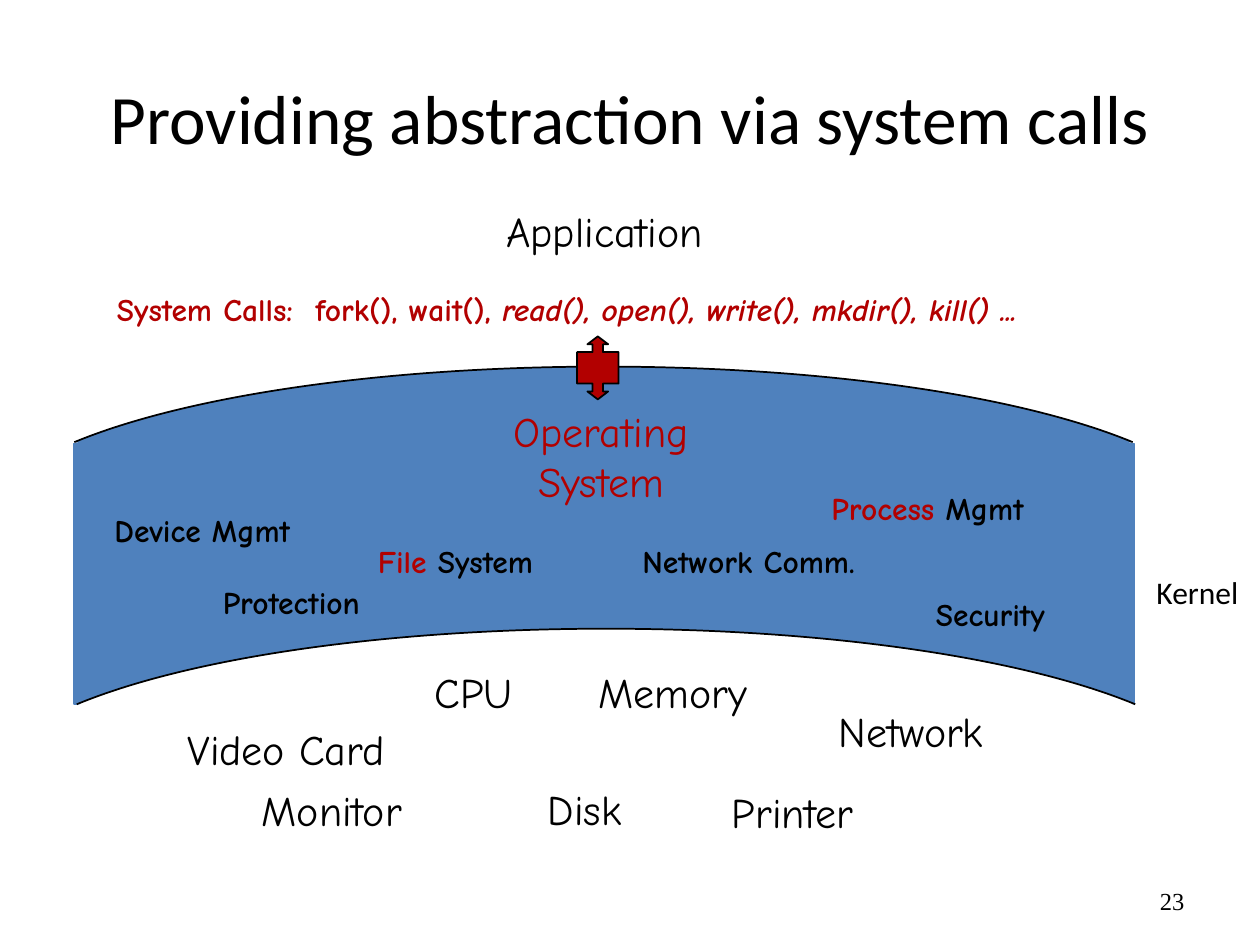
import copy

import lxml.etree
import pptx
import pptx.dml.color
import pptx.enum.shapes
import pptx.enum.text
import pptx.oxml.ns
import pptx.util

COLS, ROWS = 100, 75
CELL = pptx.util.Inches(0.1)
BLACK, WHITE, BLUE, RED = "000000", "FFFFFF", "4F81BD", "B20000"
ALIGN = pptx.enum.text.PP_ALIGN
ANCHOR = pptx.enum.text.MSO_ANCHOR
FIT = pptx.enum.text.MSO_AUTO_SIZE
SHAPE = pptx.enum.shapes.MSO_SHAPE

BIG = {"name": "Comic Neue", "size": 24, "color": BLACK}
BOLD = {"name": "Comic Neue", "size": 18, "color": BLACK, "bold": True}
TITLE = {"name": "Calibri", "size": 39.6, "color": BLACK}
KERNEL = {"name": "Calibri", "size": 18, "color": BLACK}
NUMBER = {"name": "Times New Roman", "size": 14, "color": BLACK}

OUTSIDE = [
    ("Video Card", 13.9, 56.9, 18.9),
    ("CPU", 33.5, 52.4, 8.2),
    ("Monitor", 19.8, 61.8, 14.3),
    ("Printer", 57.1, 61.9, 13),
    ("Disk", 42.5, 61.7, 8.8),
    ("Memory", 46.5, 52.4, 14.5),
    ("Network", 65.6, 55.5, 15.5),
    ("Application", 39.2, 15.8, 19.3),
]
SERVICES = [
    ([("Device Mgmt", {})], 8.1, 40.1, 17.1, 7),
    ([("File", {"color": RED}), (" System", {})], 29, 42.5, 17.1, 4),
    ([("Network Comm.", {})], 50, 42.5, 20.1, 7),
    ([("Process", {"color": RED}), (" Mgmt", {})], 65, 38.3, 18.1, 7),
    ([("Protection", {})], 16.7, 45.8, 16, 4),
    ([("Security", {})], 73.3, 46.7, 16, 4),
]


def rgb(value):
    return pptx.dml.color.RGBColor.from_string(value)


def cells(*counts):
    return [round(n * CELL) for n in counts]


def set_font(font, fmt):
    for key, value in fmt.items():
        if key == "color":
            font.color.rgb = rgb(value)
        else:
            setattr(font, key, pptx.util.Pt(value) if key == "size" else value)


def paint(sp, fill, line):
    sp.shadow.inherit = False
    sp.fill.solid()
    sp.fill.fore_color.rgb = rgb(fill)
    sp.line.color.rgb = rgb(line)
    sp.line.width = pptx.util.Pt(1)


def add_text(s, box, runs, fmt, align=ALIGN.LEFT, **frame):
    tf = s.shapes.add_textbox(*cells(*box)).text_frame
    settings = {"word_wrap": True, "auto_size": FIT.SHAPE_TO_FIT_TEXT, **frame}
    for key, value in settings.items():
        setattr(tf, key, value)
    p = tf.paragraphs[0]
    p.alignment = align
    for text, change in runs:
        r = p.add_run()
        r.text = text
        set_font(r.font, {**fmt, **change})


def add_shape(s, kind, box, fill, line):
    sp = s.shapes.add_shape(kind, *cells(*box))
    paint(sp, fill, line)
    return sp


def add_arc(s, cx, top, fill):
    half = [(-42, 6), (-32.8, 2.2), (-17, 0)]
    outline = half + [(0, 0)] + [(-x, y) for x, y in reversed(half)] + [(0, 13.3)]
    points = [cells(cx + x, top + y) for x, y in outline]
    builder = s.shapes.build_freeform(*points[0])
    builder.add_line_segments(points[1:], close=True)
    sp = builder.convert_to_shape()
    paint(sp, fill, BLACK)
    sector = sp._element.xpath(".//a:path")[0]
    lines = sector[1:7]
    for group in (lines[:3], lines[3:]):
        bezier = lxml.etree.Element(pptx.oxml.ns.qn("a:cubicBezTo"))
        group[0].addprevious(bezier)
        for line in group:
            bezier.append(line[0])
            sector.remove(line)
    curve = copy.deepcopy(sector)
    sector.set("stroke", "0")
    curve.set("fill", "none")
    for part in curve[-2:]:
        curve.remove(part)
    sector.addprevious(curve)


def main():
    prs = pptx.Presentation()
    prs.slide_width, prs.slide_height = cells(COLS, ROWS)
    s = prs.slides.add_slide(prs.slide_layouts[6])

    add_shape(s, SHAPE.RECTANGLE, (5.9, 35.2, 84.1, 20.7), BLUE, BLUE)
    add_text(s, (5, 3, 90, 12.5), [("Providing abstraction via system calls", {})], TITLE,
             ALIGN.CENTER, vertical_anchor=ANCHOR.MIDDLE, auto_size=FIT.NONE)
    add_arc(s, 47.9, 29.1, BLUE)
    add_arc(s, 48.1, 49.9, WHITE)

    add_text(s, (38.3, 31.7, 18.8, 9), [("Operating System", {"color": RED})], BIG, ALIGN.CENTER)
    for text, left, top, width in OUTSIDE:
        add_text(s, (left, top, width, 5), [(text, {})], BIG, word_wrap=False)
    calls = [("System Calls:  fork(), wait(), ", {}),
             ("read(), open(), write(), mkdir(), kill() ...", {"italic": True})]
    add_text(s, (8.3, 22.5, 88.9, 4), calls, {**BOLD, "color": RED}, word_wrap=False)
    for runs, *box in SERVICES:
        add_text(s, box, runs, BOLD)

    sp = add_shape(s, SHAPE.UP_DOWN_ARROW_CALLOUT, (45.8, 26.7, 3.3, 5), RED, BLACK)
    for i, value in enumerate((0.25, 0.25, 0.19, 0.5)):
        sp.adjustments[i] = value

    add_text(s, (71.7, 69.5, 23.3, 4), [("23", {})], NUMBER, ALIGN.RIGHT,
             vertical_anchor=ANCHOR.MIDDLE, auto_size=FIT.NONE)
    add_text(s, (90.8, 45, 9.2, 4), [("Kernel", {})], KERNEL, word_wrap=False)
    prs.save("out.pptx")


if __name__ == "__main__":
    main()
